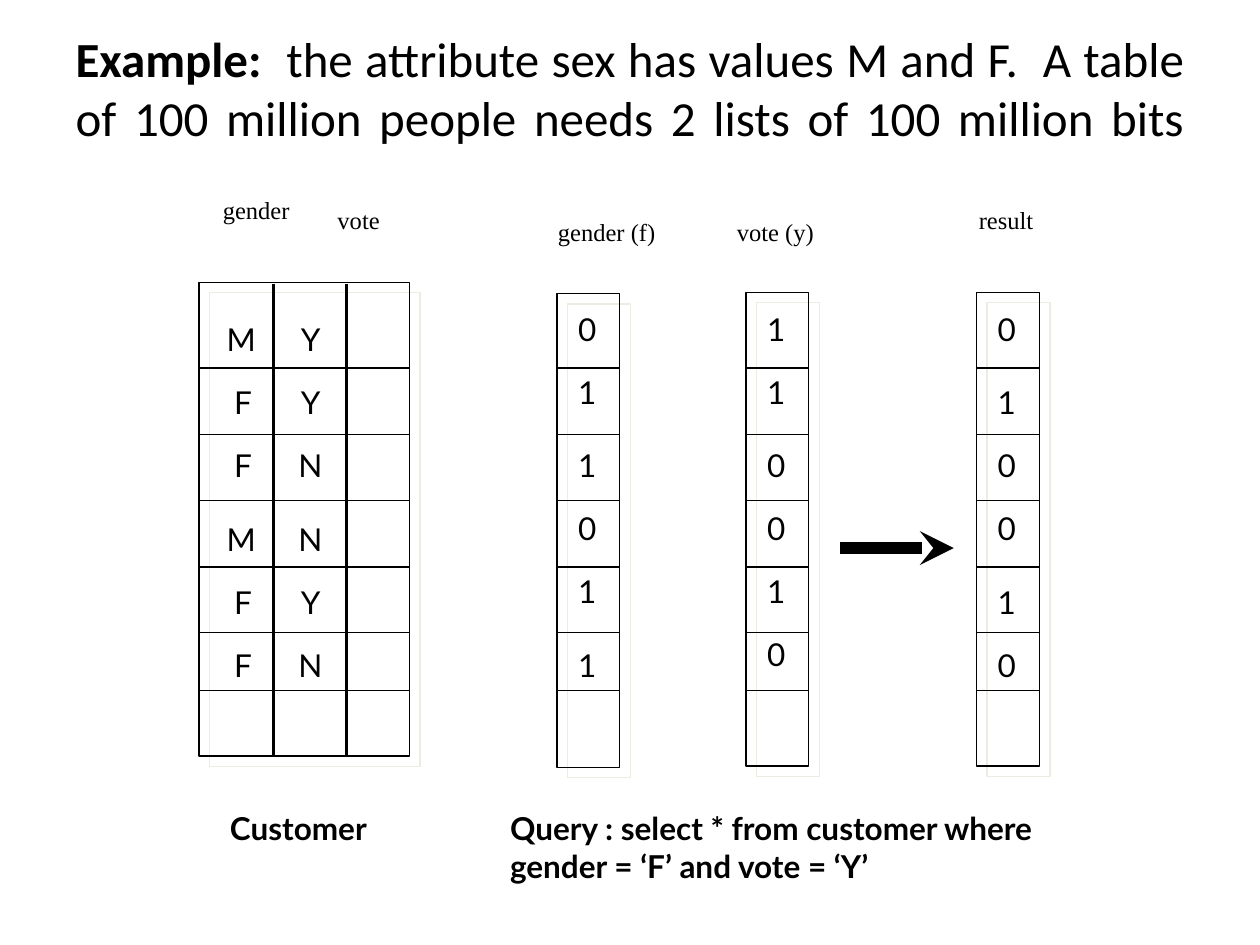
from lxml import etree
from pptx import Presentation
from pptx import util as u
from pptx.dml.color import RGBColor
from pptx.enum import shapes, text
from pptx.oxml.ns import qn

COLORS = {"ink": "000000", "shadow": "EEECE1"}
ROW_LINES = [2.92, 3.45, 3.97, 4.5, 5.02, 5.48]
FRAME_HEIGHT = 3.76
LETTER_WIDTHS = {"M": 0.39, "F": 0.33, "Y": 0.35, "N": 0.37}


def color(name):
    """Return the named colour."""
    return RGBColor.from_string(COLORS[name])


def style(r, size, font, bold=False):
    """Format one run."""
    r.font.size, r.font.name, r.font.bold = u.Pt(size), font, bold
    r.font.color.rgb = color("ink")


def add_label(parent, box, words, size=18, font="Lato", bold=False, align="LEFT", grow=True):
    """Add an unwrapped text box."""
    sp = parent.shapes.add_textbox(*map(u.Inches, box))
    tf = sp.text_frame
    tf.text = words
    tf.word_wrap = False
    tf.auto_size = getattr(text.MSO_AUTO_SIZE, "SHAPE_TO_FIT_TEXT" if grow else "NONE")
    for p in tf.paragraphs:
        p.alignment = getattr(text.PP_ALIGN, align)
        for r in p.runs:
            style(r, size, font, bold)


def add_line(parent, x1, y1, x2, y2, width=0.75):
    """Add a straight black line without a shadow."""
    ln = parent.shapes.add_connector(
        shapes.MSO_CONNECTOR.STRAIGHT, *map(u.Inches, (x1, y1, x2, y2)))
    ln.line.color.rgb = color("ink")
    ln.line.width = u.Pt(width)
    etree.SubElement(ln._element.spPr, qn("a:effectLst"))
    return ln


def add_frame(parent, left, top, width):
    """Add a ruled frame with a pale offset shadow."""
    sp = parent.shapes.add_shape(
        shapes.MSO_SHAPE.RECTANGLE, *map(u.Inches, (left, top, width, FRAME_HEIGHT)))
    sp.fill.background()
    sp.line.color.rgb = color("ink")
    sp.line.width = u.Pt(0.75)
    sp.shadow.inherit = False
    effects = sp._element.spPr.find(qn("a:effectLst"))
    shadow = etree.SubElement(effects, qn("a:outerShdw"), dist=str(u.Pt(8.5)),
                              dir="2700000", algn="ctr", rotWithShape="0")
    etree.SubElement(shadow, qn("a:srgbClr"), val=COLORS["shadow"])
    for y in ROW_LINES:
        add_line(parent, left, y, left + width, y)


def add_title(s, box):
    """Place and format the slide title."""
    sp = s.shapes.title
    sp.left, sp.top, sp.width, sp.height = map(u.Inches, box)
    tf = sp.text_frame
    tf.auto_size = text.MSO_AUTO_SIZE.NONE
    tf.vertical_anchor = text.MSO_ANCHOR.MIDDLE
    p = tf.paragraphs[0]
    p.alignment = text.PP_ALIGN.JUSTIFY
    for words, bold in (
        ("Example:  ", True),
        ("the attribute sex has values M and F.  A table "
         "of 100 million people needs 2 lists of 100 million bits", False),
    ):
        r = p.add_run()
        r.text = words
        style(r, 28, "Calibri", bold)
    p.add_line_break()
    etree.SubElement(p._p.find(qn("a:br")), qn("a:rPr"), sz="2800")
    etree.SubElement(p._p, qn("a:endParaRPr"), sz="2800")


def add_bitmap(parent, left, top, bits, tops):
    """Add one column of bits."""
    add_frame(parent, left, top, 0.5)
    for bit, y in zip(bits, tops):
        add_label(parent, (left + 0.07, y, 0.34, 0.4), bit, align="RIGHT")


def add_customer(parent, left, top):
    """Add the customer grid with its gender and vote values."""
    add_frame(parent, left, top, 1.67)
    for offset in (0.59, 1.17):
        add_line(parent, left + offset, top + 0.01, left + offset, top + FRAME_HEIGHT, 1.5)
    tops = [2.49, 2.99, 3.49, 4.08, 4.58, 5.08]
    for letters, right in (("MFFMFF", 0.51), ("YYNNYN", 1.06)):
        for letter, y in zip(letters, tops):
            width = LETTER_WIDTHS[letter]
            add_label(parent, (left + right - width, y, width, 0.4), letter, align="RIGHT")


def add_arrow(parent, x1, x2, y):
    """Add the thick arrow that leads to the result."""
    ln = add_line(parent, x1, y, x2, y, 6.5)
    etree.SubElement(ln.line._get_or_add_ln(), qn("a:tailEnd"), type="stealth")


def main():
    """Build and save the slide."""
    prs = Presentation()
    prs.slide_width, prs.slide_height = u.Inches(10), u.Inches(7.5)
    s = prs.slides.add_slide(prs.slide_layouts[5])
    add_title(s, (0.5, 0.3, 9, 1.25))
    add_label(s, (1.6, 6.37, 1.41, 0.4), "Customer", bold=True, align="RIGHT")
    add_label(s, (3.95, 6.37, 4.94, 0.7),
              "Query : select * from customer where\ngender = ‘F’ and vote = ‘Y’", bold=True)

    bitmaps = s.shapes.add_group_shape()
    for left, top, bits, tops in (
        (7.75, 2.32, "010010", (2.41, 2.99, 3.49, 3.99, 4.58, 5.08)),
        (4.42, 2.33, "011011", (2.41, 2.91, 3.49, 3.99, 4.49, 5.08)),
        (5.92, 2.32, "110010", (2.41, 2.91, 3.49, 3.99, 4.49, 4.99)),
    ):
        add_bitmap(bitmaps, left, top, bits, tops)
    add_arrow(bitmaps, 6.67, 7.57, 4.35)

    for words, box in (
        ("gender (f)", (4.33, 1.67, 1.04, 0.57)),
        ("vote (y)", (5.75, 1.67, 0.81, 0.57)),
        ("result", (7.67, 1.58, 0.62, 0.57)),
        ("vote", (2.58, 1.58, 0.58, 0.53)),
        ("gender", (1.67, 1.5, 0.76, 0.72)),
    ):
        add_label(s, box, words, 14, "Times New Roman", grow=False)
    add_customer(s.shapes.add_group_shape(), 1.58, 2.24)
    prs.save("out.pptx")


if __name__ == "__main__":
    main()
